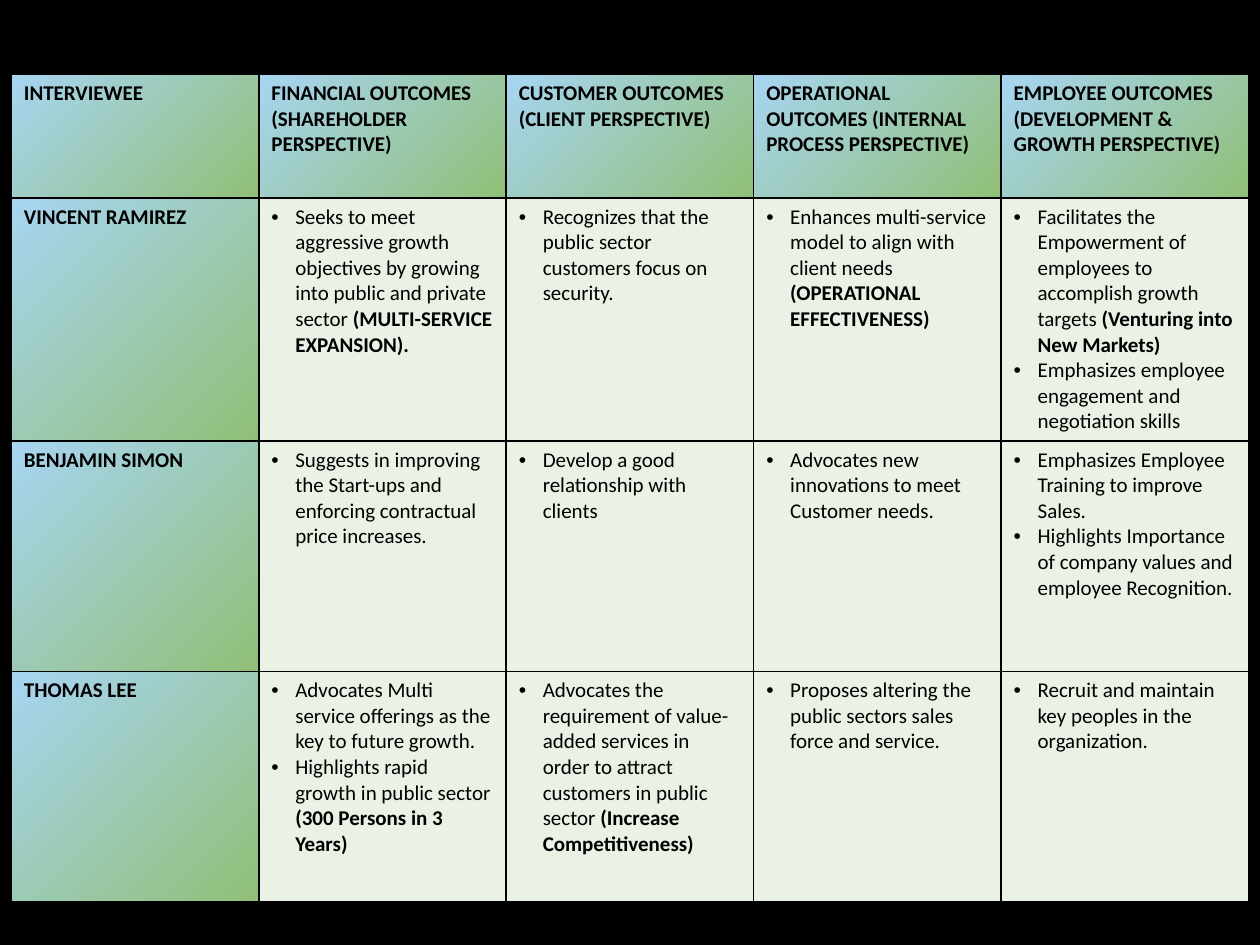
from dataclasses import dataclass

from lxml.etree import SubElement as Sub
from pptx import Presentation as Deck
from pptx.dml.color import RGBColor as Rgb
from pptx.oxml.ns import qn
from pptx.util import Inches, Pt


@dataclass(frozen=True)
class Theme:
    font: str = "Calibri"
    size: float = 12
    ink: str = "000000"
    back: str = "000000"
    pale: str = "E9F2E4"
    green: str = "91BF77"
    blue: str = "A7D5F2"
    angle: float = 135
    edge: float = 1
    indent: float = 0.19


@dataclass(frozen=True)
class Line:
    plain: str = ""
    bold: str = ""
    dot: bool = True


@dataclass(frozen=True)
class Cell:
    lines: tuple[Line, ...]
    label: bool = False


@dataclass(frozen=True)
class Grid:
    top: float
    heights: tuple[float, ...]
    rows: tuple[tuple[Cell, ...], ...]


THEME = Theme()
LEFT = 0.09
COLUMN = 1.964


def label(*texts: str) -> Cell:
    return Cell(tuple(Line(bold=text, dot=False) for text in texts), True)


def points(*lines: Line) -> Cell:
    return Cell(lines)


BODY = Grid(1.57, (1.66, 1.83, 1.83), (
    (
        label("VINCENT RAMIREZ"),
        points(Line("Seeks to meet aggressive growth objectives by growing into "
                    "public and private sector ", "(MULTI-SERVICE EXPANSION).")),
        points(Line("Recognizes that the public sector customers focus on security.")),
        points(Line("Enhances multi-service model to align with client needs ",
                    "(OPERATIONAL EFFECTIVENESS)")),
        points(Line("Facilitates the Empowerment of employees to accomplish growth "
                    "targets ", "(Venturing into New Markets)"),
               Line("Emphasizes employee engagement and negotiation skills")),
    ),
    (
        label("BENJAMIN SIMON"),
        points(Line("Suggests in improving the Start-ups and enforcing contractual "
                    "price increases.")),
        points(Line("Develop a good relationship with clients")),
        points(Line("Advocates new innovations to meet Customer needs.")),
        points(Line("Emphasizes Employee Training to improve Sales."),
               Line("Highlights Importance of company values and employee "
                    "Recognition.")),
    ),
    (
        label("THOMAS LEE"),
        points(Line("Advocates Multi service offerings as the key to future growth."),
               Line("Highlights rapid growth in public sector ",
                    "(300 Persons in 3 Years)")),
        points(Line("Advocates the requirement of value-added services in order to "
                    "attract customers in public sector ",
                    "(Increase Competitiveness)")),
        points(Line("Proposes altering the public sectors sales force and service.")),
        points(Line("Recruit and maintain key peoples in the organization.")),
    ),
))

HEAD = Grid(0.59, (0.98,), ((
    label("INTERVIEWEE"),
    label("FINANCIAL OUTCOMES", "(SHAREHOLDER PERSPECTIVE)"),
    label("CUSTOMER OUTCOMES", "(CLIENT PERSPECTIVE)"),
    label("OPERATIONAL OUTCOMES (INTERNAL PROCESS PERSPECTIVE)"),
    label("EMPLOYEE OUTCOMES", "(DEVELOPMENT & GROWTH PERSPECTIVE)"),
),))


def border(cell) -> None:
    props = cell._tc.get_or_add_tcPr()
    for side in ("lnL", "lnR", "lnT", "lnB"):
        edge = Sub(props, qn(f"a:{side}"), w=str(Pt(THEME.edge)))
        Sub(Sub(edge, qn("a:solidFill")), qn("a:srgbClr"), val=THEME.ink)


def paint(fill, shade: bool) -> None:
    if not shade:
        fill.solid()
        fill.fore_color.rgb = Rgb.from_string(THEME.pale)
        return
    fill.gradient()
    fill.gradient_angle = THEME.angle
    for stop, place, color in zip(fill.gradient_stops, (0, 1),
                                  (THEME.green, THEME.blue)):
        stop.position = place
        stop.color.rgb = Rgb.from_string(color)


def bullet(para) -> None:
    props = para._p.get_or_add_pPr()
    props.set("marL", str(Inches(THEME.indent)))
    props.set("indent", str(-Inches(THEME.indent)))
    Sub(props, qn("a:buFont"), typeface="Arial")
    Sub(props, qn("a:buChar"), char="•")


def write(para, line: Line) -> None:
    if line.dot:
        bullet(para)
    for text, bold in ((line.plain, False), (line.bold, True)):
        if text:
            run = para.add_run()
            run.text = text
            run.font.name = THEME.font
            run.font.size = Pt(THEME.size)
            run.font.bold = bold
            run.font.color.rgb = Rgb.from_string(THEME.ink)


def draw(slide, grid: Grid) -> None:
    count = len(grid.rows[0])
    table = slide.shapes.add_table(
        len(grid.rows), count, Inches(LEFT), Inches(grid.top),
        Inches(COLUMN * count), Inches(sum(grid.heights))).table
    table.first_row = table.horz_banding = False
    for row, height in zip(table.rows, grid.heights):
        row.height = Inches(height)
    for row, items in zip(table.rows, grid.rows):
        for cell, item in zip(row.cells, items):
            border(cell)
            paint(cell.fill, item.label)
            frame = cell.text_frame
            for index, line in enumerate(item.lines):
                para = frame.add_paragraph() if index else frame.paragraphs[0]
                write(para, line)


def main() -> None:
    deck = Deck()
    deck.slide_width, deck.slide_height = Inches(10), Inches(7.5)
    slide = deck.slides.add_slide(deck.slide_layouts[6])
    slide.background.fill.solid()
    slide.background.fill.fore_color.rgb = Rgb.from_string(THEME.back)
    for grid in (BODY, HEAD):
        draw(slide, grid)
    deck.save("out.pptx")


if __name__ == "__main__":
    main()
